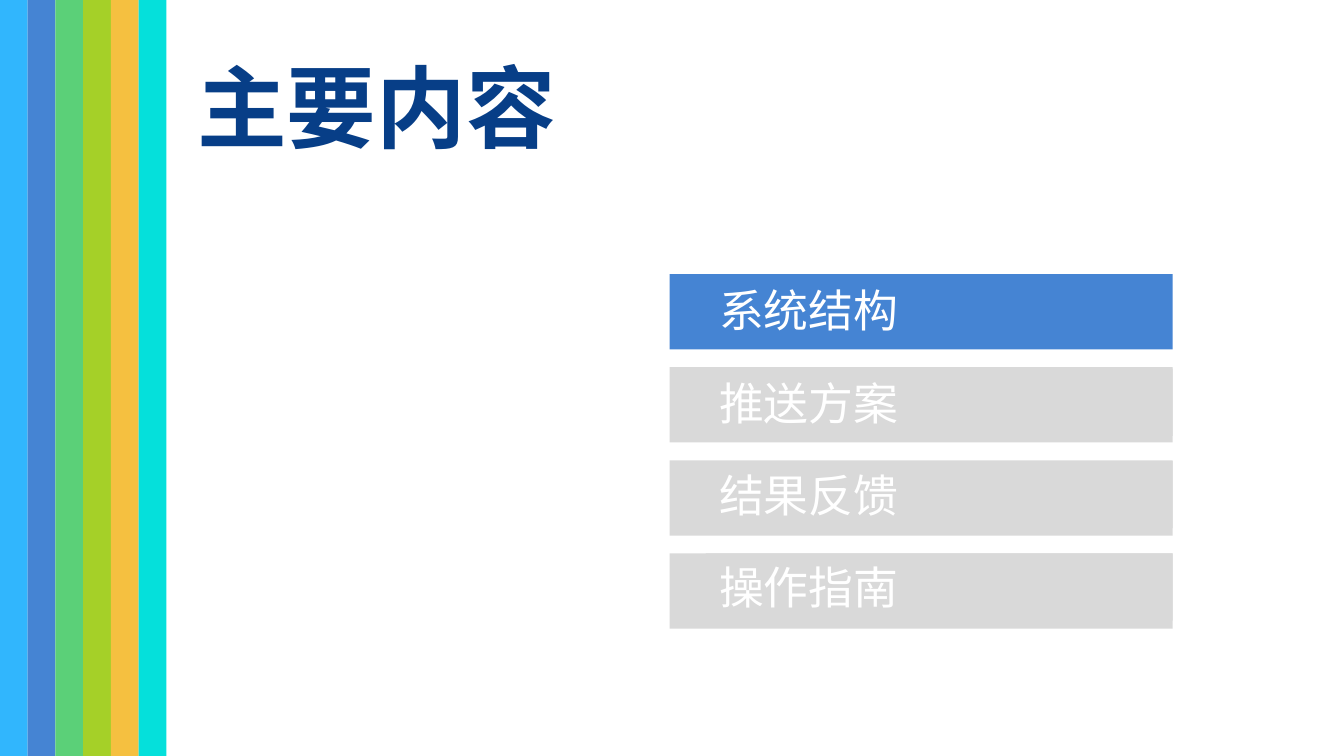
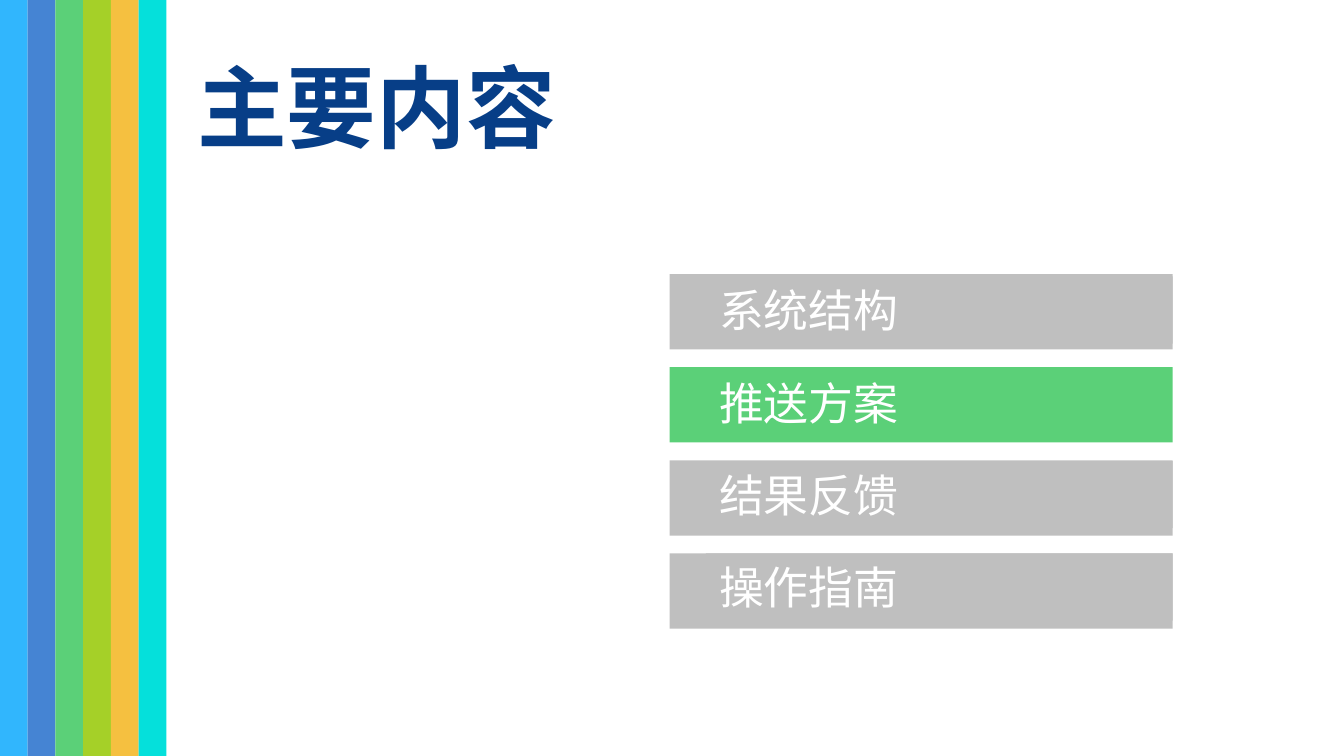
from pptx import Presentation
from pptx.dml.color import RGBColor
from pptx.enum import shapes, text
from pptx.oxml import ns
from pptx.util import Pt
from lxml import etree

WIDTH, HEIGHT = 720, 405
BLUE = RGBColor(0x45, 0x84, 0xD3)
GREEN = RGBColor(0x5B, 0xD0, 0x78)
STRIPES = [
    RGBColor(0x31, 0xB6, 0xFD),
    BLUE,
    GREEN,
    RGBColor(0xA5, 0xD0, 0x28),
    RGBColor(0xF5, 0xC0, 0x40),
    RGBColor(0x05, 0xE0, 0xDB),
]
NAVY = RGBColor(0x07, 0x3E, 0x87)
WHITE = RGBColor(0xFF, 0xFF, 0xFF)
PALE = RGBColor(0xD9, 0xD9, 0xD9)
GRAY = RGBColor(0xBF, 0xBF, 0xBF)
SANS = "Noto Sans CJK SC"
HEAD = "TeX Gyre Adventor"
TOPICS = ["系统结构", "推送方案", "结果反馈", "操作指南"]


def add_rect(parent, box, fill):
    rect = parent.add_shape(shapes.MSO_SHAPE.RECTANGLE, *map(Pt, box))
    rect.shadow.inherit = False
    rect.fill.solid()
    rect.fill.fore_color.rgb = fill
    rect.line.fill.background()


def add_text(slide, box, words, size, font, color, bold=False, fill=None):
    label = slide.shapes.add_textbox(*map(Pt, box))
    if fill is not None:
        label.fill.solid()
        label.fill.fore_color.rgb = fill
    frame = label.text_frame
    frame.word_wrap = True
    frame.auto_size = text.MSO_AUTO_SIZE.SHAPE_TO_FIT_TEXT
    run = frame.paragraphs[0].add_run()
    run.text = words
    run.font.size = Pt(size)
    run.font.name = font
    run.font.bold = bold
    run.font.color.rgb = color
    east = etree.SubElement(run.font._element, ns.qn("a:ea"))
    east.set("typeface", SANS)


def add_bands(slide, box):
    left, top, width, height = box
    group = slide.shapes.add_group_shape()
    step = width / len(STRIPES)
    for i, color in enumerate(STRIPES):
        add_rect(group.shapes, (left + i * step, top, step, height), color)


def add_menu(slide, box, active, accent, muted):
    left, top, width, height = box
    bar, inset, tall = 40.3, 19.4, 36
    pitch = (height - bar) / (len(TOPICS) - 1)
    for i, topic in enumerate(TOPICS):
        chosen = i == active
        y = top + i * pitch
        add_rect(slide.shapes, (left, y, width, bar), accent if chosen else muted)
        spot = (left + inset, y + 1.2 - 0.4 * i, width - inset, tall)
        add_text(slide, spot, topic, 24, SANS, WHITE, fill=None if chosen else muted)


def add_agenda(deck, active, accent, muted):
    slide = deck.slides.add_slide(deck.slide_layouts[6])
    add_bands(slide, (0, 0, 89.2, HEIGHT))
    add_menu(slide, (358.8, 146.9, 269.4, 189.9), active, accent, muted)
    add_text(slide, (98.6, 24.5, 279.4, 65.5), "主要内容", 48, HEAD, NAVY, bold=True)


def main():
    deck = Presentation()
    deck.slide_width, deck.slide_height = Pt(WIDTH), Pt(HEIGHT)
    add_agenda(deck, 0, BLUE, PALE)
    add_agenda(deck, 1, GREEN, GRAY)
    deck.save("out.pptx")


if __name__ == "__main__":
    main()
